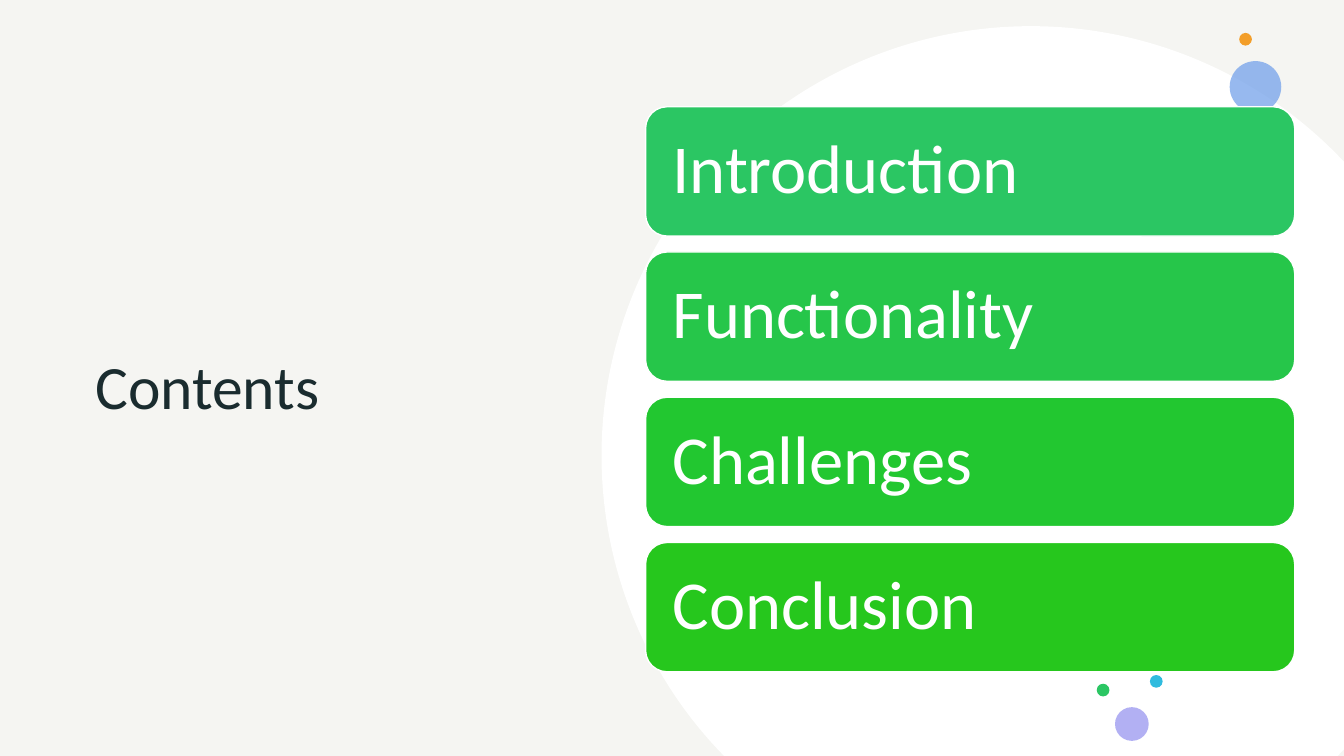
from math import acos, asin, degrees, sqrt

from lxml.etree import SubElement
from pptx import Presentation
from pptx.dml.color import RGBColor
from pptx.enum.shapes import MSO_SHAPE as Shape
from pptx.enum.text import MSO_ANCHOR as Anchor, PP_ALIGN as Align
from pptx.oxml.ns import qn
from pptx.util import Cm, Pt

WIDTH, HEIGHT = 33.87, 19.05
WHITE = RGBColor(0xFF, 0xFF, 0xFF)
IVORY = RGBColor(0xF5, 0xF5, 0xF2)
INK = RGBColor(0x1A, 0x2C, 0x2F)
BLUE = RGBColor(0x6F, 0x9F, 0xEA)
ORANGE = RGBColor(0xF3, 0x9E, 0x29)
CYAN = RGBColor(0x30, 0xBB, 0xDE)
LILAC = RGBColor(0xB2, 0xB0, 0xF3)
GREEN = RGBColor(0x2B, 0xC6, 0x63)

TOPICS = [
    ("Introduction", GREEN),
    ("Functionality", RGBColor(0x26, 0xC6, 0x4A)),
    ("Challenges", RGBColor(0x22, 0xC7, 0x30)),
    ("Conclusion", RGBColor(0x26, 0xC7, 0x1D)),
]
DOTS = [
    (30.99, 1.54, 1.3, BLUE, 72),
    (31.23, 0.83, 0.32, ORANGE, 100),
    (28.98, 17.01, 0.32, CYAN, 100),
    (28.1, 17.82, 0.85, LILAC, 100),
    (27.64, 17.23, 0.32, GREEN, 100),
]


def write(tf, text, *, size, color, font="Calibri", inset=0.25):
    """Fill a text frame with one left-aligned, vertically centred line."""
    tf.word_wrap = True
    tf.vertical_anchor = Anchor.MIDDLE
    tf.margin_left = tf.margin_right = Cm(inset)
    p = tf.paragraphs[0]
    p.alignment = Align.LEFT
    p.line_spacing = 0.9
    r = p.add_run()
    r.text = text
    r.font.size = Pt(size)
    r.font.name = font
    r.font.color.rgb = color


class ContentsSlide:
    """Draws the elements of a contents slide in one style."""

    def __init__(self, prs):
        """Add a title-only slide with an ivory background."""
        self.slide = prs.slides.add_slide(prs.slide_layouts[5])
        self.shapes = self.slide.shapes
        fill = self.slide.background.fill
        fill.solid()
        fill.fore_color.rgb = IVORY

    def paint(self, sp, color, line=None):
        """Give a shape a flat fill and an optional outline."""
        sp.shadow.inherit = False
        sp.fill.solid()
        sp.fill.fore_color.rgb = color
        if line is None:
            sp.line.fill.background()
        else:
            sp.line.color.rgb = line
            sp.line.width = Pt(1)

    def title(self, text, left, top, width, height):
        """Place and format the title placeholder."""
        sp = self.shapes.title
        sp.left, sp.top, sp.width, sp.height = map(Cm, (left, top, width, height))
        write(sp.text_frame, text, size=44, color=INK)

    def clipped_disc(self, x, y, radius, color):
        """Draw a disc cut off at the right and bottom slide edges."""
        right, below = WIDTH - x, HEIGHT - y
        dx = sqrt(radius ** 2 - below ** 2)
        dy = sqrt(radius ** 2 - right ** 2)
        corners = [(x - radius, y), (x, y - radius), (WIDTH, y - dy),
                   (WIDTH, y + dy), (x + dx, HEIGHT)]
        builder = self.shapes.build_freeform(Cm(x - dx), Cm(HEIGHT))
        builder.add_line_segments([(Cm(a), Cm(b)) for a, b in corners], close=True)
        sp = builder.convert_to_shape()
        self.paint(sp, color)
        angles = [180 - degrees(asin(below / radius)), 180, 270,
                  360 - degrees(acos(right / radius))]
        lines = list(sp._element.iter(qn("a:lnTo")))
        for line, start, end in zip(lines, angles, angles[1:]):
            arc = SubElement(line.getparent(), qn("a:arcTo"))
            arc.set("wR", str(Cm(radius)))
            arc.set("hR", str(Cm(radius)))
            arc.set("stAng", str(round(start * 60000)))
            arc.set("swAng", str(round((end - start) * 60000)))
            line.getparent().replace(line, arc)

    def dot(self, left, top, size, color, opacity):
        """Draw a small decorative circle."""
        sp = self.shapes.add_shape(Shape.OVAL, Cm(left), Cm(top), Cm(size), Cm(size))
        self.paint(sp, color)
        if opacity < 100:
            clr = sp._element.spPr.find(qn("a:solidFill")).find(qn("a:srgbClr"))
            SubElement(clr, qn("a:alpha")).set("val", str(opacity * 1000))

    def card(self, text, color, left, top, width, height):
        """Draw a rounded topic card with its label."""
        sp = self.shapes.add_shape(
            Shape.ROUNDED_RECTANGLE, Cm(left), Cm(top), Cm(width), Cm(height))
        self.paint(sp, color, line=WHITE)
        write(sp.text_frame, text, size=49, color=WHITE, inset=0.52)


def main():
    """Build and save the presentation."""
    prs = Presentation()
    prs.slide_width, prs.slide_height = Cm(WIDTH), Cm(HEIGHT)
    s = ContentsSlide(prs)
    s.title("Contents", 2.15, 2.64, 12.8, 14.33)
    s.clipped_disc(25.98, 11.48, 10.82, WHITE)
    for dot in DOTS:
        s.dot(*dot)
    for row, (text, color) in enumerate(TOPICS):
        s.card(text, color, 16.27, 2.69 + row * 3.66, 16.36, 3.26)
    prs.save("out.pptx")


if __name__ == "__main__":
    main()
